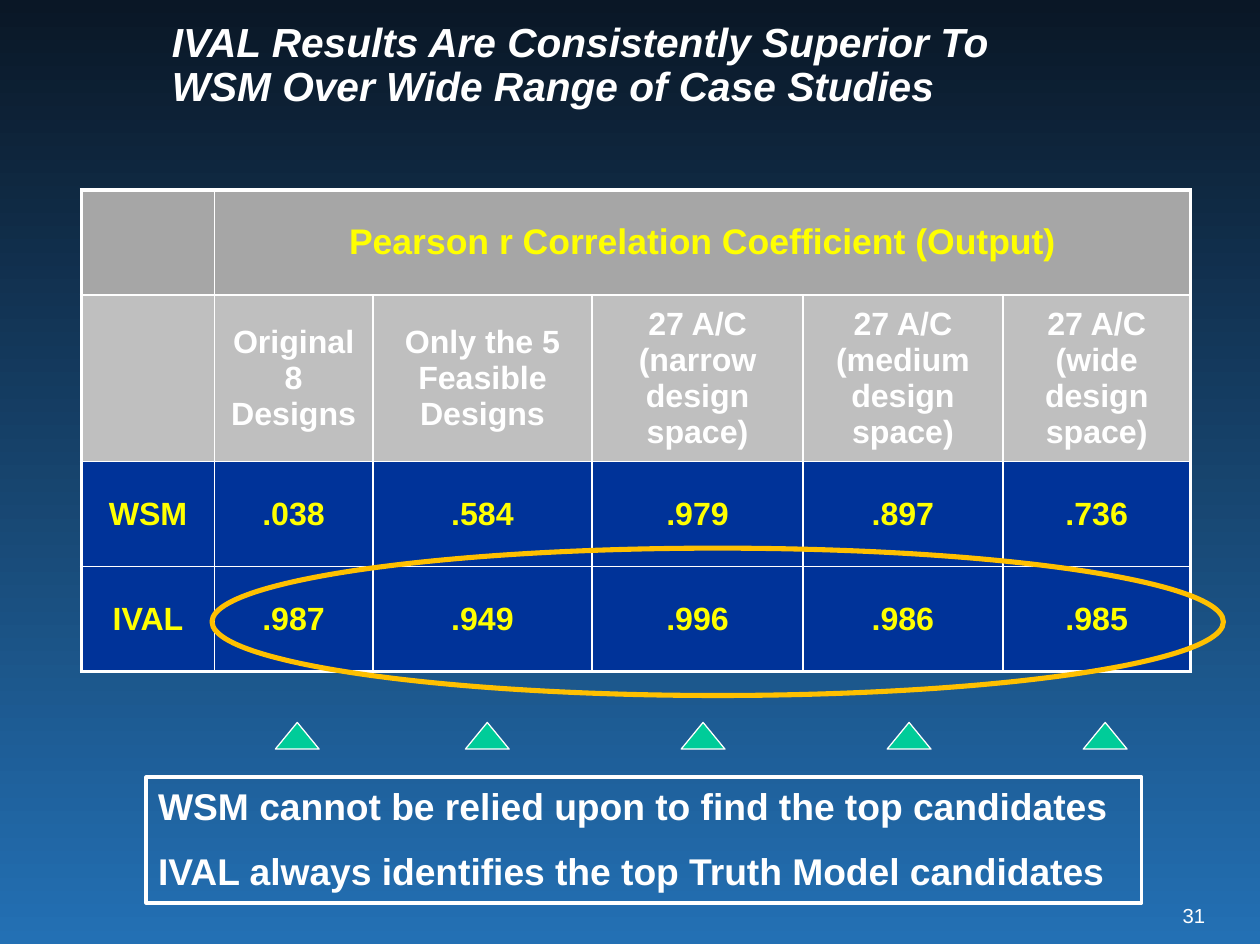
"""Build the slide comparing WSM and IVAL correlation results."""
from lxml import etree
from pptx import Presentation
from pptx.dml.color import RGBColor
from pptx.enum.shapes import MSO_SHAPE
from pptx.enum.text import MSO_ANCHOR, PP_ALIGN
from pptx.oxml.ns import qn
from pptx.util import Pt

TRIANGLE, OVAL, RECTANGLE = MSO_SHAPE.ISOSCELES_TRIANGLE, MSO_SHAPE.OVAL, MSO_SHAPE.RECTANGLE
MIDDLE, TOP = MSO_ANCHOR.MIDDLE, MSO_ANCHOR.TOP
LEFT, CENTER, RIGHT = PP_ALIGN.LEFT, PP_ALIGN.CENTER, PP_ALIGN.RIGHT
WHITE = RGBColor(0xFF, 0xFF, 0xFF)
YELLOW = RGBColor(0xFF, 0xFF, 0x00)
AMBER = RGBColor(0xFF, 0xC0, 0x00)
GREEN = RGBColor(0x00, 0xCC, 0x99)
BLUE = RGBColor(0x00, 0x33, 0x99)
DARK_GRAY = RGBColor(0xA6, 0xA6, 0xA6)
LIGHT_GRAY = RGBColor(0xBF, 0xBF, 0xBF)
NIGHT = RGBColor(0x0A, 0x17, 0x26)
SKY = RGBColor(0x23, 0x70, 0xB4)


def style(paragraph, size, color, align, bold=True):
    paragraph.alignment = align
    font = paragraph.font
    font.name, font.size, font.bold = "Arial", Pt(size), bold
    font.color.rgb = color


def add_outlined(kind, left, top, width, height, line_color, line_width, fill=None):
    shape = slide.shapes.add_shape(kind, Pt(left), Pt(top), Pt(width), Pt(height))
    shape.shadow.inherit = False
    if fill is None:
        shape.fill.background()
    else:
        shape.fill.solid()
        shape.fill.fore_color.rgb = fill
    shape.line.color.rgb = line_color
    shape.line.width = Pt(line_width)
    return shape


prs = Presentation()
prs.slide_width, prs.slide_height = Pt(744.5), Pt(558)
slide = prs.slides.add_slide(prs.slide_layouts[5])

backdrop = slide.background.fill
backdrop.gradient()
backdrop.gradient_angle = 270
for stop, color in zip(backdrop.gradient_stops, (NIGHT, SKY)):
    stop.color.rgb = color

title = slide.shapes.title
title.left, title.top, title.width, title.height = Pt(94.3), Pt(0), Pt(519.8), Pt(77.8)
title.text_frame.text = "IVAL Results Are Consistently Superior To WSM Over Wide Range of Case Studies"
title.text_frame.vertical_anchor = MIDDLE
headline = title.text_frame.paragraphs[0]
style(headline, 24, WHITE, LEFT)
headline.font.italic = True
headline.line_spacing = Pt(26)

page_number = slide.shapes.add_textbox(Pt(697.7), Pt(534.2), Pt(14.4), Pt(14.4)).text_frame
page_number.margin_left = page_number.margin_right = 0
page_number.margin_top = page_number.margin_bottom = 0
page_number.word_wrap = False
page_number.text = "31"
style(page_number.paragraphs[0], 12, WHITE, RIGHT, bold=False)

conclusions = add_outlined(RECTANGLE, 86.4, 459.4, 588.2, 74.2, WHITE, 2.25).text_frame
conclusions.word_wrap = True
conclusions.vertical_anchor = TOP
conclusions.text = ("WSM cannot be relied upon to find the top candidates\n"
                    "IVAL always identifies the top Truth Model candidates")
for paragraph in conclusions.paragraphs:
    style(paragraph, 22, WHITE, LEFT)
conclusions.paragraphs[1].space_before = Pt(12)

results = [
    ["", "Pearson r Correlation Coefficient (Output)", "", "", "", ""],
    ["", "Original 8 Designs", "Only the 5 Feasible Designs", "27 A/C (narrow design space)",
     "27 A/C (medium design space)", "27 A/C (wide design space)"],
    ["WSM", ".038", ".584", ".979", ".897", ".736"],
    ["IVAL", ".987", ".949", ".996", ".986", ".985"],
]
row_looks = [(DARK_GRAY, YELLOW, 21), (LIGHT_GRAY, WHITE, 19), (BLUE, YELLOW, 19), (BLUE, YELLOW, 19)]
column_widths = [78.5, 93.6, 129.6, 124.6, 118.1, 110.9]
row_heights = [62, 98.6, 62, 62]
last_row, last_column = len(row_heights) - 1, len(column_widths) - 1

table = slide.shapes.add_table(len(row_heights), len(column_widths), Pt(48.2), Pt(112.3),
                               Pt(sum(column_widths)), Pt(sum(row_heights))).table
table.first_row = table.horz_banding = False
for column, width in zip(table.columns, column_widths):
    column.width = Pt(width)
for row, height in zip(table.rows, row_heights):
    row.height = Pt(height)
table.cell(0, 1).merge(table.cell(0, last_column))

for r, (texts, (fill, color, size)) in enumerate(zip(results, row_looks)):
    for c, text in enumerate(texts):
        cell = table.cell(r, c)
        end_column = c + cell.span_width - 1 if cell.is_merge_origin else c
        outer_edges = {"a:lnL": c == 0, "a:lnR": end_column == last_column,
                       "a:lnT": r == 0, "a:lnB": r == last_row}
        properties = cell._tc.get_or_add_tcPr()
        for tag, is_outer in outer_edges.items():
            border = etree.SubElement(properties, qn(tag), w=str(Pt(2.25 if is_outer else 1)))
            paint = etree.SubElement(border, qn("a:solidFill"))
            etree.SubElement(paint, qn("a:srgbClr"), val=str(WHITE))
        cell.fill.solid()
        cell.fill.fore_color.rgb = fill
        cell.vertical_anchor = MIDDLE
        cell.text = text
        style(cell.text_frame.paragraphs[0], size, color, CENTER)

for marker_left in (162.7, 275, 402.5, 524.2, 640.1):
    add_outlined(TRIANGLE, marker_left, 427, 25.9, 15.8, WHITE, 0.75, GREEN)

add_outlined(OVAL, 125.3, 324, 597.6, 87.1, AMBER, 3)

prs.save("out.pptx")
